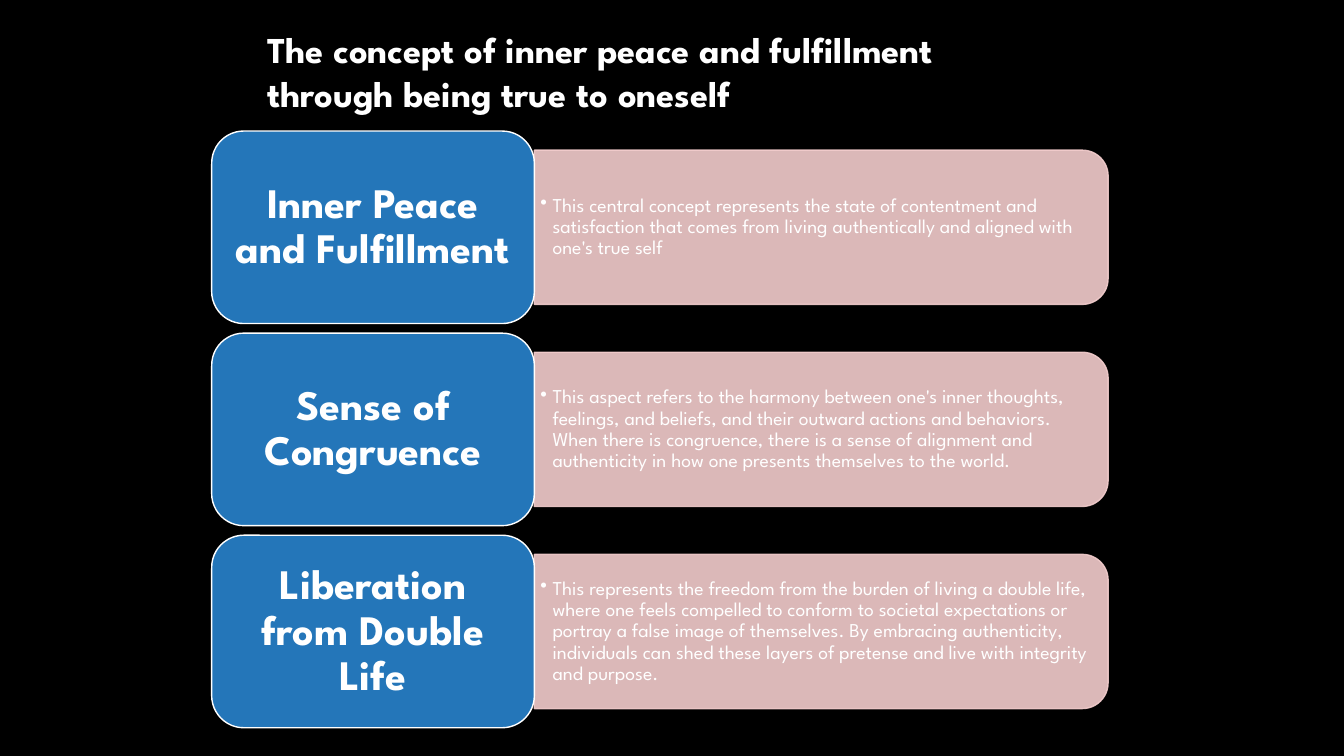
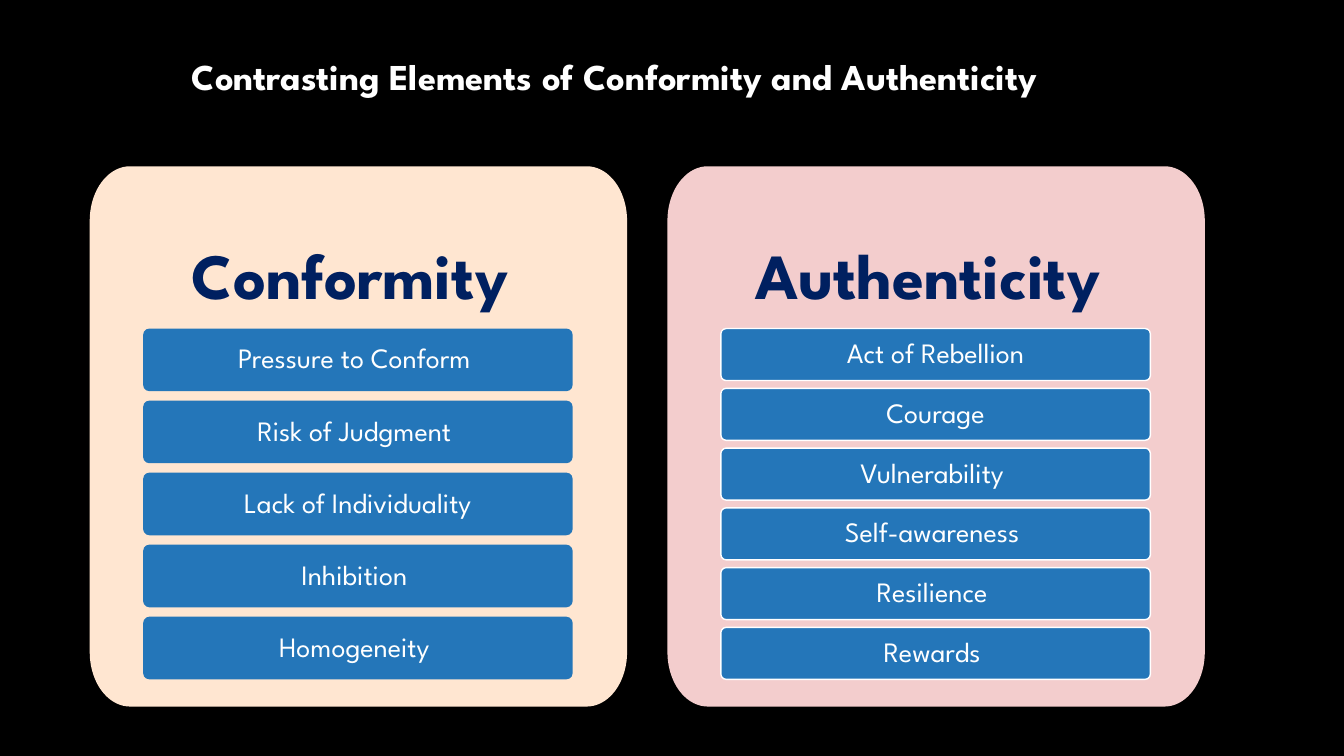
from math import cos, radians, sin

from lxml.etree import SubElement
from pptx import Presentation
from pptx.dml.color import RGBColor
from pptx.enum.shapes import MSO_SHAPE
from pptx.enum.text import MSO_ANCHOR, MSO_AUTO_SIZE, PP_ALIGN
from pptx.oxml.ns import qn
from pptx.util import Inches, Pt

FONT = "League Spartan"
BLACK, WHITE, NAVY = "000000", "FFFFFF", "002060"
BLUE, PINK, PEACH = "2476B9", "F3CDCD", "FFE6D1"

CONCEPTS = [
    ("Inner Peace and Fulfillment",
     "This central concept represents the state of contentment and satisfaction that comes "
     "from living authentically and aligned with one's true self"),
    ("Sense of Congruence",
     "This aspect refers to the harmony between one's inner thoughts, feelings, and beliefs, "
     "and their outward actions and behaviors. When there is congruence, there is a sense of "
     "alignment and authenticity in how one presents themselves to the world."),
    ("Liberation from Double Life",
     "This represents the freedom from the burden of living a double life, where one feels "
     "compelled to conform to societal expectations or portray a false image of themselves. "
     "By embracing authenticity, individuals can shed these layers of pretense and live with "
     "integrity and purpose."),
]
CONFORMITY = ["Pressure to Conform ", "Risk of Judgment ", "Lack of Individuality",
              "Inhibition ", "Homogeneity "]
AUTHENTICITY = ["Act of Rebellion", "Courage", "Vulnerability ", "Self-awareness ",
                "Resilience ", "Rewards "]


def color(value):
    """Turn a hex string into a colour."""
    return RGBColor.from_string(value)


def write(shape, text, size, ink=WHITE, bold=False, align=PP_ALIGN.CENTER,
          anchor=MSO_ANCHOR.MIDDLE, insets=(0.1, 0.05, 0.1, 0.05), spacing=0.9):
    """Put one formatted paragraph in a shape and return the paragraph."""
    frame = shape.text_frame
    frame.word_wrap = True
    frame.auto_size = MSO_AUTO_SIZE.NONE
    frame.vertical_anchor = anchor
    (frame.margin_left, frame.margin_top,
     frame.margin_right, frame.margin_bottom) = map(Inches, insets)
    paragraph = frame.paragraphs[0]
    paragraph.alignment = align
    paragraph.line_spacing = spacing
    run = paragraph.add_run()
    run.text = text
    run.font.name = FONT
    run.font.size = Pt(size)
    run.font.bold = bold
    run.font.color.rgb = color(ink)
    return paragraph


def paint(shape, fill, line=None):
    """Give a shape a flat fill and an optional one-point outline."""
    shape.shadow.inherit = False
    shape.fill.solid()
    shape.fill.fore_color.rgb = color(fill)
    if line:
        shape.line.color.rgb = color(line)
        shape.line.width = Pt(1)
    else:
        shape.line.fill.background()


def add_box(slide, kind, left, top, width, height, fill, line=None):
    """Add a painted preset shape."""
    shape = slide.shapes.add_shape(
        kind, Inches(left), Inches(top), Inches(width), Inches(height))
    paint(shape, fill, line)
    return shape


def add_titled_slide(presentation, title, left, top, width, height):
    """Add a title-only slide with its title placed and formatted."""
    slide = presentation.slides.add_slide(presentation.slide_layouts[5])
    shape = slide.shapes.title
    shape.left, shape.top = Inches(left), Inches(top)
    shape.width, shape.height = Inches(width), Inches(height)
    write(shape, title, 26, bold=True, align=PP_ALIGN.LEFT,
          anchor=MSO_ANCHOR.TOP, spacing=1.0)
    return slide


def make_translucent(shape, percent):
    """Set the opacity of a shape's fill and outline."""
    for element in shape.element.spPr.iter(qn("a:srgbClr")):
        SubElement(element, qn("a:alpha"), val=str(percent * 1000))


def add_bullet(paragraph, indent):
    """Give a paragraph a hanging bullet."""
    properties = paragraph._p.get_or_add_pPr()
    properties.set("marL", str(Inches(indent)))
    properties.set("indent", str(-Inches(indent)))
    SubElement(properties, qn("a:buChar"), char="•")


def add_concept(slide, top, name, description):
    """Add a blue concept card with its description band on the right."""
    left, width, height = 2.1, 3.2, 1.91
    band_left, band_width, band_height = left + width, 5.69, 1.53
    middle = top + height / 2
    band = add_box(slide, MSO_SHAPE.ROUND_2_SAME_RECTANGLE,
                   band_left + (band_width - band_height) / 2, middle - band_width / 2,
                   band_height, band_width, PINK, PINK)
    band.rotation = 90
    make_translucent(band, 90)
    text_height = 1.38
    text_box = slide.shapes.add_textbox(
        Inches(band_left), Inches(middle - text_height / 2), Inches(5.61), Inches(text_height))
    paragraph = write(text_box, description, 14, align=PP_ALIGN.LEFT,
                      insets=(0.06, 0.03, 0.06, 0.03))
    add_bullet(paragraph, 0.12)
    card = add_box(slide, MSO_SHAPE.ROUNDED_RECTANGLE, left, top, width, height, BLUE, WHITE)
    write(card, name, 30, bold=True, insets=(0.12, 0.06, 0.12, 0.06))


def add_panel(slide, left, top, width, height, fill):
    """Add a panel whose corners are quarter ellipses."""
    radius_x, radius_y = 0.4, 0.54
    right, bottom = left + width - radius_x, top + height - radius_y
    centers = [(right, bottom), (left + radius_x, bottom),
               (left + radius_x, top + radius_y), (right, top + radius_y)]
    points = [(Inches(x + radius_x * cos(radians(angle))),
               Inches(y + radius_y * sin(radians(angle))))
              for quarter, (x, y) in enumerate(centers)
              for angle in range(90 * quarter, 90 * quarter + 91, 5)]
    builder = slide.shapes.build_freeform(*points[0])
    builder.add_line_segments(points[1:], close=True)
    panel = builder.convert_to_shape()
    paint(panel, fill)
    return panel


def add_column(slide, left, heading, items, fill, outline=None):
    """Add a headed panel with evenly stacked items."""
    panel = add_panel(slide, left, 1.65, 5.33, 5.36, fill)
    write(panel, heading, 46, NAVY, bold=True, insets=(0.24, 0.24, 0.24, 3.38))
    first_top, last_bottom, gap_share = 3.26, 6.74, 0.15
    count = len(items)
    height = (last_bottom - first_top) / (count + gap_share * (count - 1))
    for index, item in enumerate(items):
        top = first_top + index * height * (1 + gap_share)
        box = add_box(slide, MSO_SHAPE.ROUNDED_RECTANGLE, left + 0.53, top, 4.26, height,
                      BLUE, outline)
        box.adjustments[0] = 0.1
        write(box, item, 20, insets=(0.07, 0.05, 0.07, 0.05))


def build_concepts(presentation):
    """Build the slide of inner peace concepts."""
    slide = add_titled_slide(
        presentation, "The concept of inner peace and fulfillment through being true to oneself",
        2.55, 0.22, 7.99, 0.98)
    first_top, last_top = 1.3, 5.31
    step = (last_top - first_top) / (len(CONCEPTS) - 1)
    for index, (name, description) in enumerate(CONCEPTS):
        add_concept(slide, first_top + index * step, name, description)


def build_contrast(presentation):
    """Build the slide that contrasts conformity and authenticity."""
    slide = add_titled_slide(
        presentation, "Contrasting Elements of Conformity and Authenticity",
        1.8, 0.49, 10.93, 0.54)
    add_column(slide, 0.89, "Conformity ", CONFORMITY, PEACH)
    add_column(slide, 6.62, "Authenticity ", AUTHENTICITY, PINK, WHITE)


def main():
    """Build and save the presentation."""
    presentation = Presentation()
    presentation.slide_width, presentation.slide_height = Inches(13.33), Inches(7.5)
    background = presentation.slide_master.background.fill
    background.solid()
    background.fore_color.rgb = color(BLACK)
    build_concepts(presentation)
    build_contrast(presentation)
    presentation.save("out.pptx")


if __name__ == "__main__":
    main()
